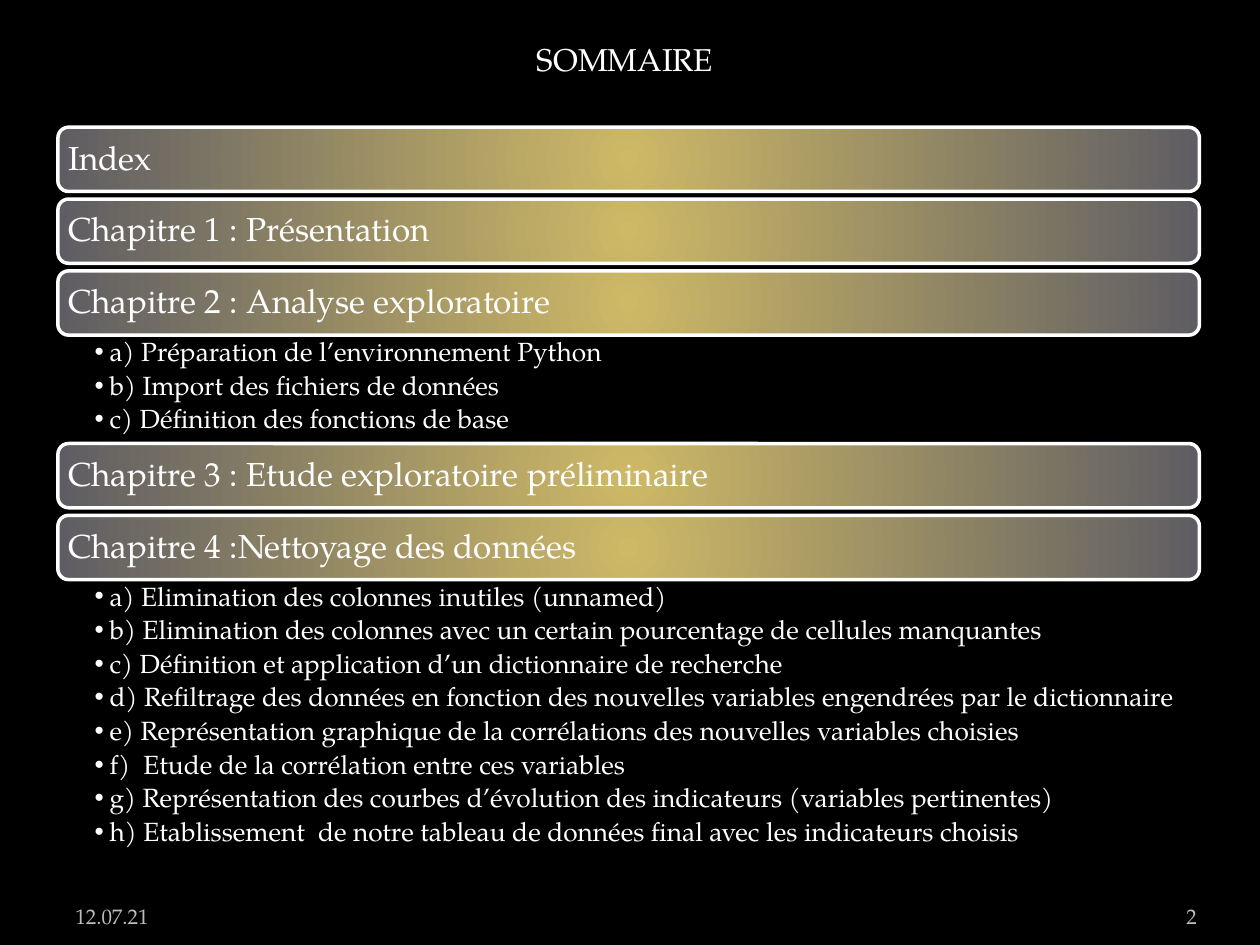
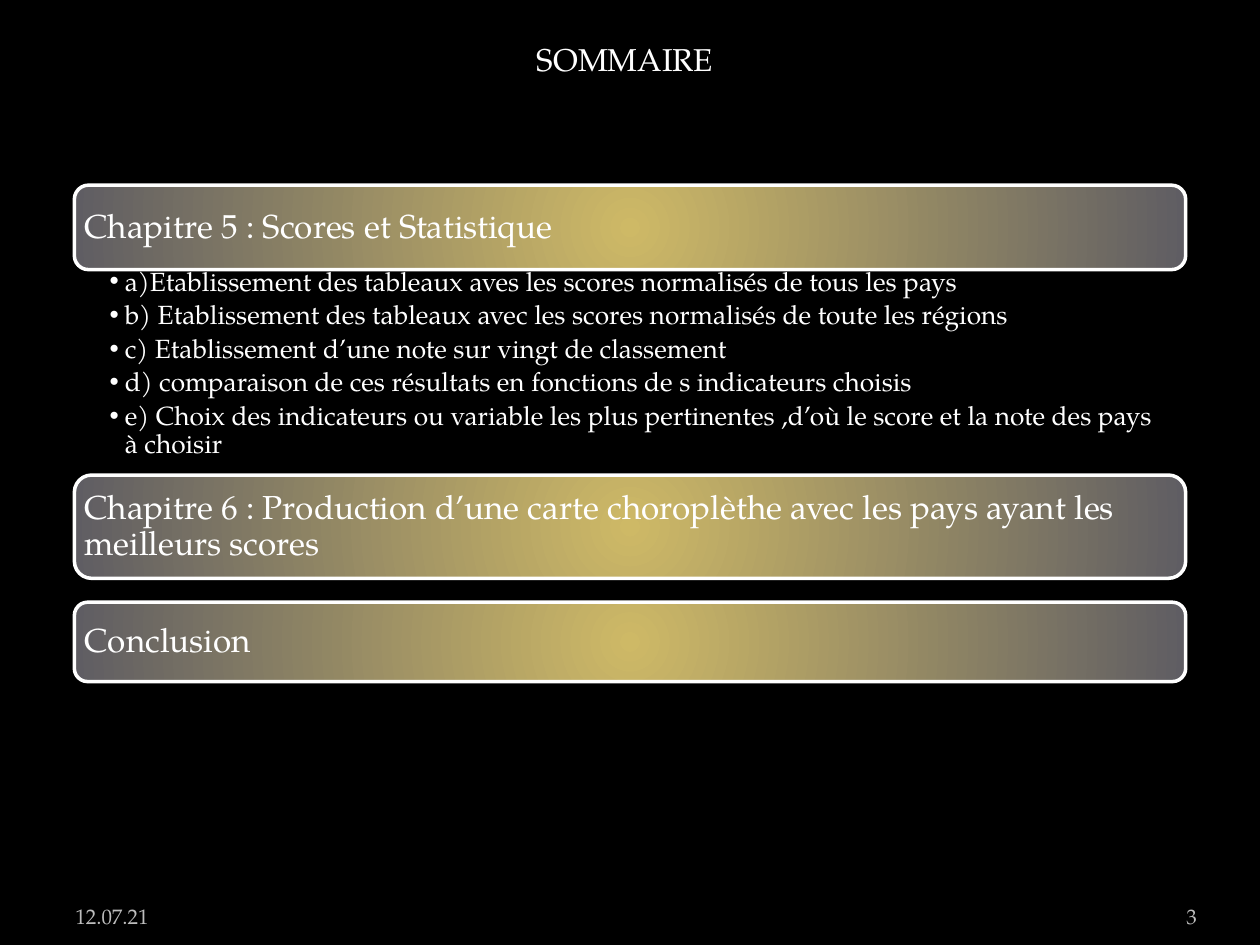
from dataclasses import dataclass

from lxml.etree import SubElement
from pptx import Presentation
from pptx.dml.color import RGBColor
from pptx.enum.shapes import MSO_SHAPE
from pptx.enum.text import MSO_ANCHOR, MSO_AUTO_SIZE, PP_ALIGN
from pptx.oxml.ns import qn
from pptx.util import Inches, Pt


@dataclass(frozen=True)
class Theme:
    """Colours, font and type sizes of the whole presentation."""
    font: str = "TeX Gyre Pagella"
    background: RGBColor = RGBColor(0x00, 0x00, 0x00)
    text: RGBColor = RGBColor(0xFF, 0xFF, 0xFF)
    footer: RGBColor = RGBColor(0xBD, 0xBD, 0xBD)
    band_centre: RGBColor = RGBColor(0xCE, 0xB9, 0x66)
    band_edge: RGBColor = RGBColor(0x5F, 0x5D, 0x63)
    title_size: int = 18
    band_size: int = 19
    list_size: int = 15
    footer_size: int = 12


@dataclass(frozen=True)
class Chapter:
    """One band of the summary, with the list below it."""
    heading: str
    height: float = 0.51
    items: tuple = ()
    list_height: float = 0


@dataclass(frozen=True)
class Summary:
    """One summary slide: its stack of chapters and how they are spaced."""
    left: float
    top: float
    width: float
    gap: float
    list_overlap: float
    list_insets: tuple
    chapters: tuple


THEME = Theme()
TITLE = "SOMMAIRE"
DATE = "12.07.21"
FIRST_NUMBER = 2
CORNER = 1 / 6
CORNER_TEXT_INSET = 0.29
LAYOUT_BY_LIST_COUNT = {1: 1, 2: 3}

SUMMARIES = (
    Summary(0.46, 1.01, 9.06, 0.06, 0, (0.29, 0.03, 0.15, 0.03), (
        Chapter("Index"),
        Chapter("Chapitre 1 : Présentation"),
        Chapter("Chapitre 2 : Analyse exploratoire ", items=(
            "a) Préparation de l’environnement Python ",
            "b) Import des fichiers de données ",
            "c) Définition des fonctions de base ",
        ), list_height=0.86),
        Chapter("Chapitre 3 : Etude exploratoire préliminaire "),
        Chapter("Chapitre 4 :Nettoyage des données ", items=(
            "a) Elimination des colonnes inutiles (unnamed) ",
            "b) Elimination des colonnes avec un certain pourcentage de cellules manquantes ",
            "c) Définition et application d’un dictionnaire de recherche ",
            "d) Refiltrage des données en fonction des nouvelles variables engendrées par le dictionnaire",
            "e) Représentation graphique de la corrélations des nouvelles variables choisies ",
            "f)  Etude de la corrélation entre ces variables ",
            "g) Représentation des courbes d’évolution des indicateurs (variables pertinentes) ",
            "h) Etablissement  de notre tableau de données final avec les indicateurs choisis ",
        ), list_height=2.28),
    )),
    Summary(0.59, 1.47, 8.82, 0.19, 0.03, (0.28, 0.02, 0.12, 0.02), (
        Chapter("Chapitre 5 : Scores et Statistique", 0.67, (
            "a)Etablissement des tableaux aves les scores normalisés de tous les pays  ",
            "b) Etablissement des tableaux avec les scores normalisés de toute les régions ",
            "c) Etablissement d’une note sur vingt de classement ",
            "d) comparaison de ces résultats en fonctions de s indicateurs choisis",
            "e) Choix des indicateurs ou variable les plus pertinentes ,d’où le score et la note des pays à choisir ",
        ), 1.66),
        Chapter("Chapitre 6 : Production d’une carte choroplèthe avec les pays ayant les meilleurs scores ", 0.82),
        Chapter("Conclusion", 0.63),
    )),
)


def place(shape, box):
    """Move a shape to a box of left, top, width and height in inches."""
    shape.left, shape.top, shape.width, shape.height = map(Inches, box)


def set_frame(frame, insets, anchor, wrap=True):
    """Set the insets (left, top, right, bottom), anchor and wrapping of a text frame."""
    frame.auto_size = MSO_AUTO_SIZE.NONE
    frame.word_wrap = wrap
    frame.vertical_anchor = anchor
    (frame.margin_left, frame.margin_top,
     frame.margin_right, frame.margin_bottom) = map(Inches, insets)


def style_paragraph(paragraph, size, color=THEME.text, align=PP_ALIGN.LEFT):
    """Give a paragraph the theme font, a size, a colour and an alignment."""
    paragraph.alignment = align
    paragraph.font.name = THEME.font
    paragraph.font.size = Pt(size)
    paragraph.font.color.rgb = color


def add_bullet(paragraph):
    """Give a paragraph a hanging round bullet."""
    properties = paragraph._p.get_or_add_pPr()
    properties.set("marL", str(Inches(0.12)))
    properties.set("indent", str(-Inches(0.12)))
    bullet = SubElement(properties, qn("a:buChar"))
    bullet.set("char", "•")
    properties.remove(bullet)
    properties.insert_element_before(bullet, "a:tabLst", "a:defRPr", "a:extLst")


def fill_radial(shape):
    """Fill a shape with the gold gradient that spreads from its centre."""
    shape.fill.gradient()
    for stop, color in zip(shape.fill.gradient_stops, (THEME.band_centre, THEME.band_edge)):
        stop.color.rgb = color
    gradient = shape._element.spPr.find(qn("a:gradFill"))
    gradient.remove(gradient.find(qn("a:lin")))
    circle = SubElement(gradient, qn("a:path"))
    circle.set("path", "circle")
    centre = SubElement(circle, qn("a:fillToRect"))
    for side in "ltrb":
        centre.set(side, "50000")


def add_band(slide, box, heading):
    """Draw a rounded chapter band with its heading."""
    band = slide.shapes.add_shape(MSO_SHAPE.ROUNDED_RECTANGLE, *map(Inches, box))
    band.adjustments[0] = CORNER
    band.shadow.inherit = False
    fill_radial(band)
    band.line.color.rgb = THEME.text
    band.line.width = Pt(2)
    # The rounded corner already pushes the text inwards.
    inset = 0.08 - CORNER_TEXT_INSET * CORNER * box[3]
    set_frame(band.text_frame, (inset,) * 4, MSO_ANCHOR.MIDDLE)
    paragraph = band.text_frame.paragraphs[0]
    paragraph.text = heading
    paragraph.line_spacing = 0.9
    style_paragraph(paragraph, THEME.band_size)


def fill_list(placeholder, box, items, insets):
    """Place a body placeholder and fill it with bulleted items."""
    place(placeholder, box)
    frame = placeholder.text_frame
    set_frame(frame, insets, MSO_ANCHOR.TOP)
    for index, item in enumerate(items):
        paragraph = frame.add_paragraph() if index else frame.paragraphs[0]
        paragraph.text = item
        paragraph.level = 1
        paragraph.line_spacing = 0.9
        paragraph.space_before = Pt(0)
        paragraph.space_after = Pt(0.2 * THEME.list_size)
        style_paragraph(paragraph, THEME.list_size)
        add_bullet(paragraph)


def fill_title(title, box):
    """Place the title placeholder and write the title in it."""
    place(title, box)
    set_frame(title.text_frame, (0.1, 0.05, 0.1, 0.05), MSO_ANCHOR.TOP, wrap=False)
    title.text_frame.text = TITLE
    style_paragraph(title.text_frame.paragraphs[0], THEME.title_size)


def add_footer(slide, box, number):
    """Write the date at the left and the slide number at the right of the box."""
    left, top, width, height = box
    number_width = 0.83
    parts = (
        (DATE, left, 2.33, 0.1, PP_ALIGN.LEFT),
        (str(number), left + width - number_width, number_width, 0, PP_ALIGN.RIGHT),
    )
    for text, part_left, part_width, inset, align in parts:
        text_box = slide.shapes.add_textbox(*map(Inches, (part_left, top, part_width, height)))
        set_frame(text_box.text_frame, (inset, 0.05, inset, 0.05), MSO_ANCHOR.BOTTOM)
        text_box.text_frame.text = text
        style_paragraph(text_box.text_frame.paragraphs[0], THEME.footer_size, THEME.footer, align)


def add_chapters(slide, summary, bodies):
    """Stack the bands downwards, each with its list right below it."""
    top = summary.top
    for chapter in summary.chapters:
        add_band(slide, (summary.left, top, summary.width, chapter.height), chapter.heading)
        top += chapter.height
        if chapter.items:
            top -= summary.list_overlap
            box = (summary.left, top, summary.width, chapter.list_height)
            fill_list(next(bodies), box, chapter.items, summary.list_insets)
            top += chapter.list_height
        else:
            top += summary.gap


def add_summary_slide(presentation, summary, number):
    """Add one summary slide with its title, chapters and footer."""
    list_count = sum(bool(chapter.items) for chapter in summary.chapters)
    layout = presentation.slide_layouts[LAYOUT_BY_LIST_COUNT[list_count]]
    slide = presentation.slides.add_slide(layout)
    fill_title(slide.shapes.title, (4.16, 0.27, 1.61, 0.4))
    bodies = (shape for shape in list(slide.placeholders) if shape.placeholder_format.idx)
    add_chapters(slide, summary, bodies)
    add_footer(slide, (0.5, 7.02, 9, 0.4), number)


def main():
    """Build and save the presentation."""
    presentation = Presentation()
    presentation.slide_width, presentation.slide_height = Inches(10), Inches(7.5)
    background = presentation.slide_master.background.fill
    background.solid()
    background.fore_color.rgb = THEME.background
    for number, summary in enumerate(SUMMARIES, FIRST_NUMBER):
        add_summary_slide(presentation, summary, number)
    presentation.save("out.pptx")


main()
